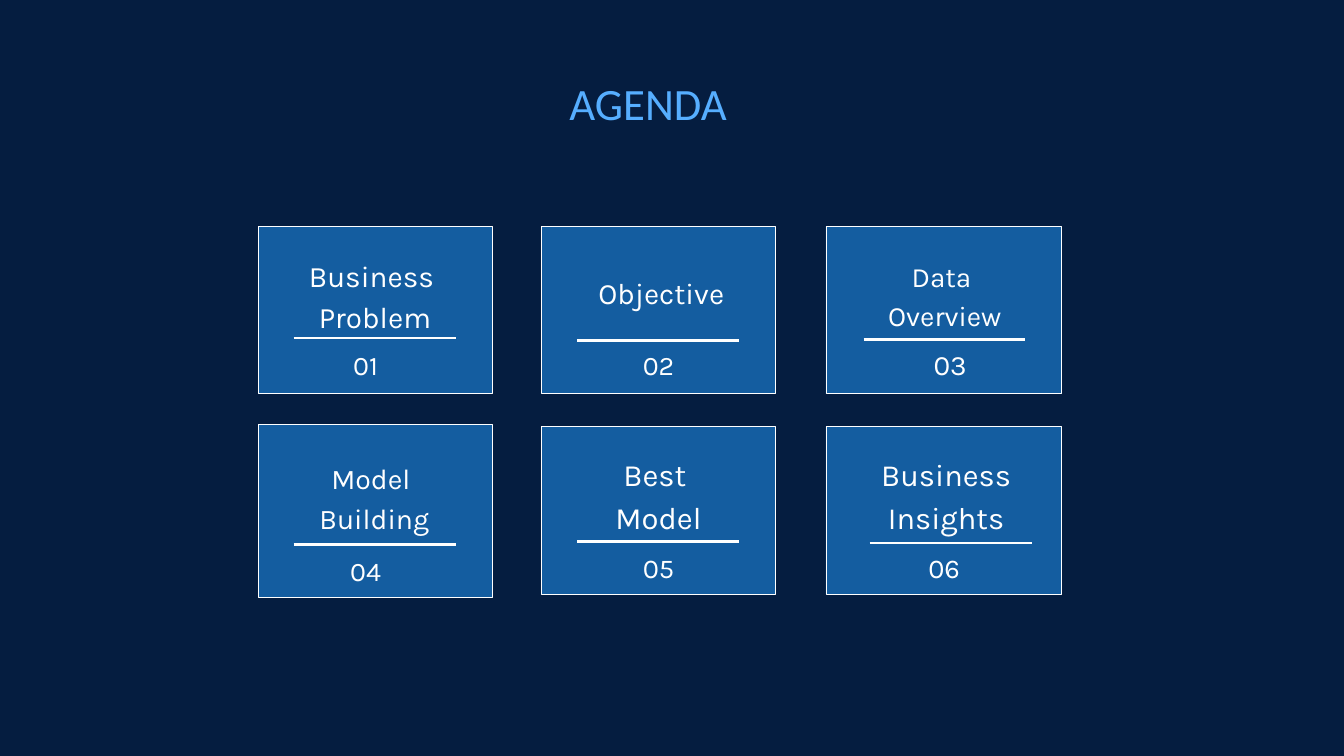
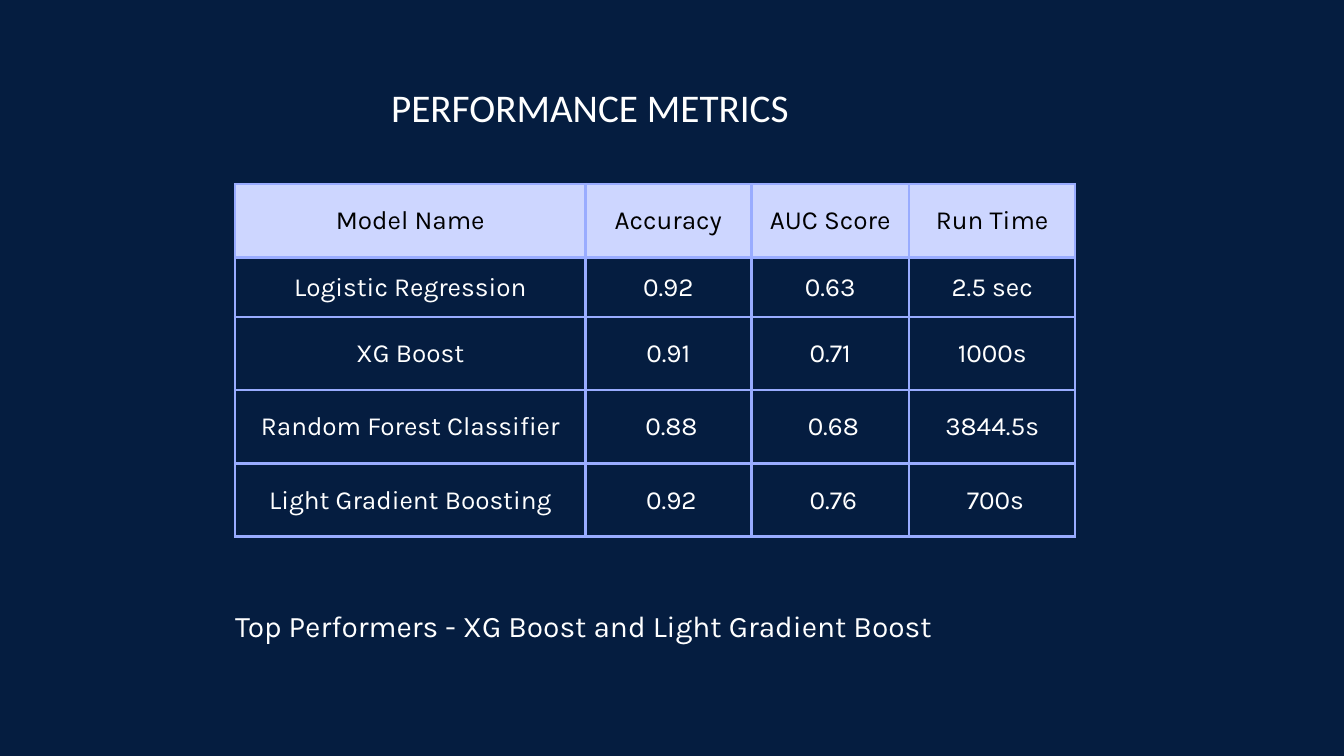
from lxml import etree
from pptx import Presentation
from pptx import util as u
from pptx.dml.color import RGBColor
from pptx.enum import shapes, text
from pptx.oxml import ns

COLORS = {
    "background": "051D40",
    "card": "145DA0",
    "white": "FFFFFF",
    "black": "000000",
    "accent": "56AEFF",
    "header": "CDD6FF",
    "border": "99ACFF",
}
BODY, TITLE = "Karla", "Calibri"
CENTER, LEFT = text.PP_ALIGN.CENTER, text.PP_ALIGN.LEFT

CARDS = [
    {"label": ["Business ", "Problem"], "size": 31.8, "label_at": (5.58, 3.76),
     "number": "01", "number_size": 28.7, "number_at": (5.44, 5.12), "rule_at": (4.37, 5.03)},
    {"label": ["Objective"], "size": 31.6, "label_at": (9.84, 4.02),
     "number": "02", "number_size": 28.7, "number_at": (9.8, 5.12), "rule_at": (8.59, 5.07)},
    {"label": ["Data ", "Overview"], "size": 29.9, "label_at": (14.06, 3.79),
     "number": "03", "number_size": 30, "number_at": (14.14, 5.1), "rule_at": (12.85, 5.05)},
    {"label": ["Model ", "Building"], "size": 30.5, "label_at": (5.57, 6.79),
     "number": "04", "number_size": 28.7, "number_at": (5.44, 8.18), "rule_at": (4.37, 8.1)},
    {"label": ["Best ", "Model"], "size": 33.2, "label_at": (9.8, 6.7),
     "number": "05", "number_size": 29.1, "number_at": (9.8, 8.13), "rule_at": (8.59, 8.06)},
    {"label": ["Business Insights"], "size": 33, "label_at": (14.08, 6.7),
     "number": "06", "number_size": 29.1, "number_at": (14.05, 8.13), "rule_at": (12.94, 8.08)},
]
CARD_COLUMNS = [(3.84, 3.48), (8.06, 3.48), (12.29, 3.51)]
CARD_ROWS = [(3.37, 2.49), (6.35, 2.49)]
TALL_CARD = {"04": (6.31, 2.58)}
RULE_W, LABEL_W, NUMBER_W = 2.41, 2.4, 0.92
LEADING = 1.38

METRICS = [
    ["Model Name", "Accuracy", "AUC Score", "Run Time"],
    ["Logistic Regression", "0.92", "0.63", "2.5 sec"],
    ["XG Boost", "0.91", " 0.71 ", "1000s"],
    ["Random Forest Classifier", " 0.88", " 0.68", "3844.5s"],
    ["Light Gradient Boosting", " 0.92", " 0.76", " 700s"],
]
METRIC_WIDTHS = [5.21, 2.47, 2.35, 2.47]
METRIC_HEIGHTS = [1.09, 0.82, 1.09, 1.09, 1.09]


def rgb(name):
    return RGBColor.from_string(COLORS[name])


def set_all(obj, values):
    for name, value in values.items():
        setattr(obj, name, value)


def write(tf, lines, size, color="white", font=BODY, align=CENTER, spacing=None):
    for i, line in enumerate(lines):
        p = tf.paragraphs[0] if i == 0 else tf.add_paragraph()
        set_all(p, {"alignment": align, "line_spacing": u.Pt(spacing or round(size * LEADING, 1))})
        r = p.add_run()
        r.text = line
        set_all(r.font, {"size": u.Pt(size), "name": font})
        r.font.color.rgb = rgb(color)


def add_text(s, box, lines, size, **style):
    tf = s.shapes.add_textbox(*map(u.Inches, box)).text_frame
    set_all(tf, {"word_wrap": True, "auto_size": text.MSO_AUTO_SIZE.SHAPE_TO_FIT_TEXT,
                 "margin_left": 0, "margin_right": 0, "margin_top": 0, "margin_bottom": 0})
    write(tf, lines, size, **style)


def add_title(s, box, title, size, **style):
    add_text(s, box, [title], size, font=TITLE, spacing=57.6, **style)


def add_slide(prs):
    s = prs.slides.add_slide(prs.slide_layouts[6])
    s.background.fill.solid()
    s.background.fill.fore_color.rgb = rgb("background")
    return s


def add_card(s, card, left, top, width, height):
    sp = s.shapes.add_shape(shapes.MSO_SHAPE.RECTANGLE, *map(u.Inches, (left, top, width, height)))
    sp.shadow.inherit = False
    sp.fill.solid()
    sp.fill.fore_color.rgb = rgb("card")
    sp.line.color.rgb = rgb("white")
    sp.line.width = u.Pt(0.75)

    x, y = card["rule_at"]
    rule = s.shapes.add_connector(shapes.MSO_CONNECTOR.STRAIGHT, *map(u.Inches, (x, y, x + RULE_W, y)))
    rule.line.color.rgb = rgb("white")
    rule.line.width = u.Pt(3)
    etree.SubElement(rule._element.spPr, ns.qn("a:effectLst"))

    x, y = card["label_at"]
    add_text(s, (x - LABEL_W / 2, y, LABEL_W, 1.15), card["label"], card["size"])
    x, y = card["number_at"]
    add_text(s, (x - NUMBER_W / 2, y, NUMBER_W, 0.53), [card["number"]], card["number_size"])


def add_borders(cell):
    tc_pr = cell._tc.get_or_add_tcPr()
    for side in ("lnL", "lnR", "lnT", "lnB"):
        ln = etree.SubElement(tc_pr, ns.qn("a:" + side), w=str(u.Pt(3)))
        fill = etree.SubElement(ln, ns.qn("a:solidFill"))
        etree.SubElement(fill, ns.qn("a:srgbClr"), val=COLORS["border"])


def add_metrics(s, left, top):
    size = (sum(METRIC_WIDTHS), sum(METRIC_HEIGHTS))
    table = s.shapes.add_table(len(METRICS), len(METRIC_WIDTHS), *map(u.Inches, (left, top, *size))).table
    set_all(table, {"first_row": False, "horz_banding": False})
    for column, width in zip(table.columns, METRIC_WIDTHS):
        column.width = u.Inches(width)
    for row, height in zip(table.rows, METRIC_HEIGHTS):
        row.height = u.Inches(height)
    pad = u.Inches(0.21)
    for i, values in enumerate(METRICS):
        for j, value in enumerate(values):
            cell = table.cell(i, j)
            set_all(cell, {"vertical_anchor": text.MSO_ANCHOR.MIDDLE, "margin_left": pad,
                           "margin_right": pad, "margin_top": pad, "margin_bottom": pad})
            add_borders(cell)
            if i == 0:
                cell.fill.solid()
                cell.fill.fore_color.rgb = rgb("header")
            else:
                cell.fill.background()
            write(cell.text_frame, [value], 28, color="white" if i else "black", spacing=33.6)


def build_agenda(prs):
    s = add_slide(prs)
    add_title(s, (5.03, 1.12, 9.23, 0.8), "AGENDA", 48, color="accent")
    for i, card in enumerate(CARDS):
        row, col = divmod(i, len(CARD_COLUMNS))
        left, width = CARD_COLUMNS[col]
        top, height = TALL_CARD.get(card["number"], CARD_ROWS[row])
        add_card(s, card, left, top, width, height)


def build_performance(prs):
    s = add_slide(prs)
    add_metrics(s, 3.5, 2.74)
    add_title(s, (5.82, 1.14, 11.66, 0.8), "PERFORMANCE METRICS", 42, align=LEFT)
    add_text(s, (3.5, 9.04, 11.29, 0.54), ["Top Performers - XG Boost and Light Gradient Boost"],
             32, align=LEFT, spacing=38.6)


def main():
    prs = Presentation()
    set_all(prs, {"slide_width": u.Inches(20), "slide_height": u.Inches(11.25)})
    build_agenda(prs)
    build_performance(prs)
    prs.save("out.pptx")


if __name__ == "__main__":
    main()
